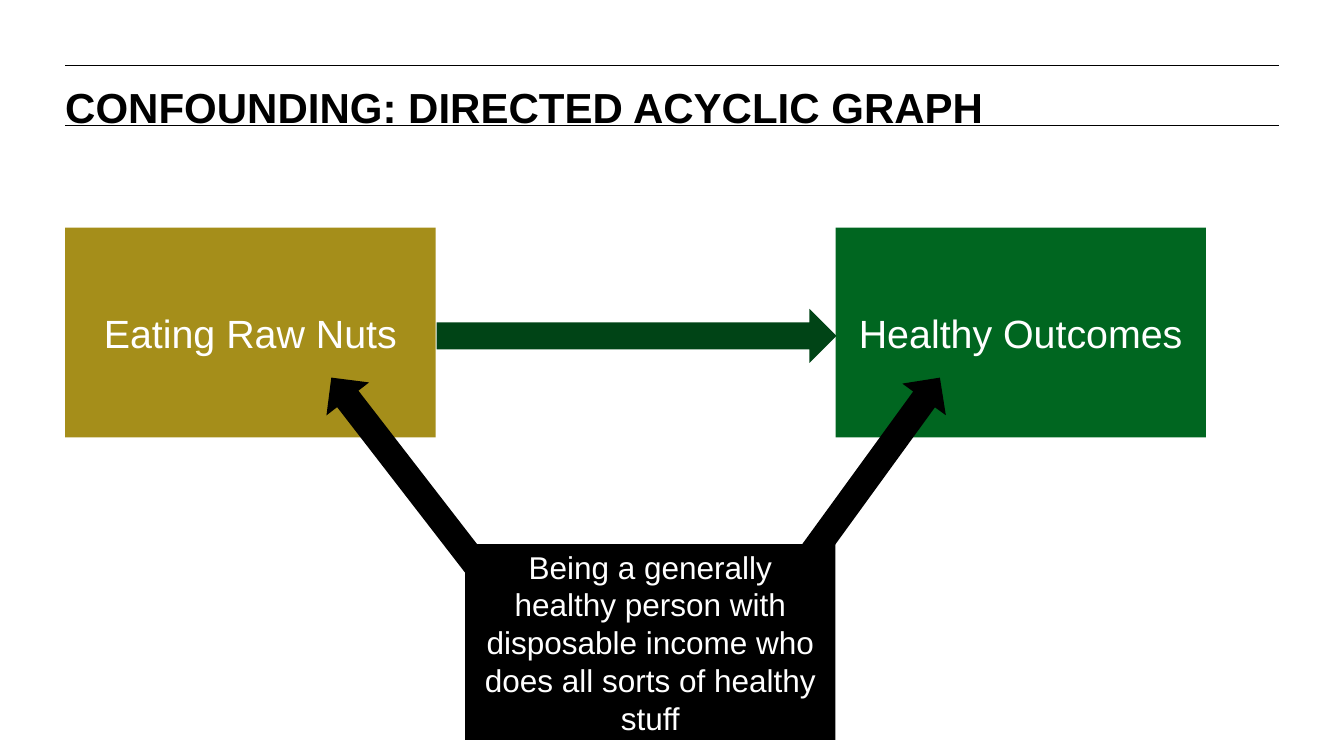
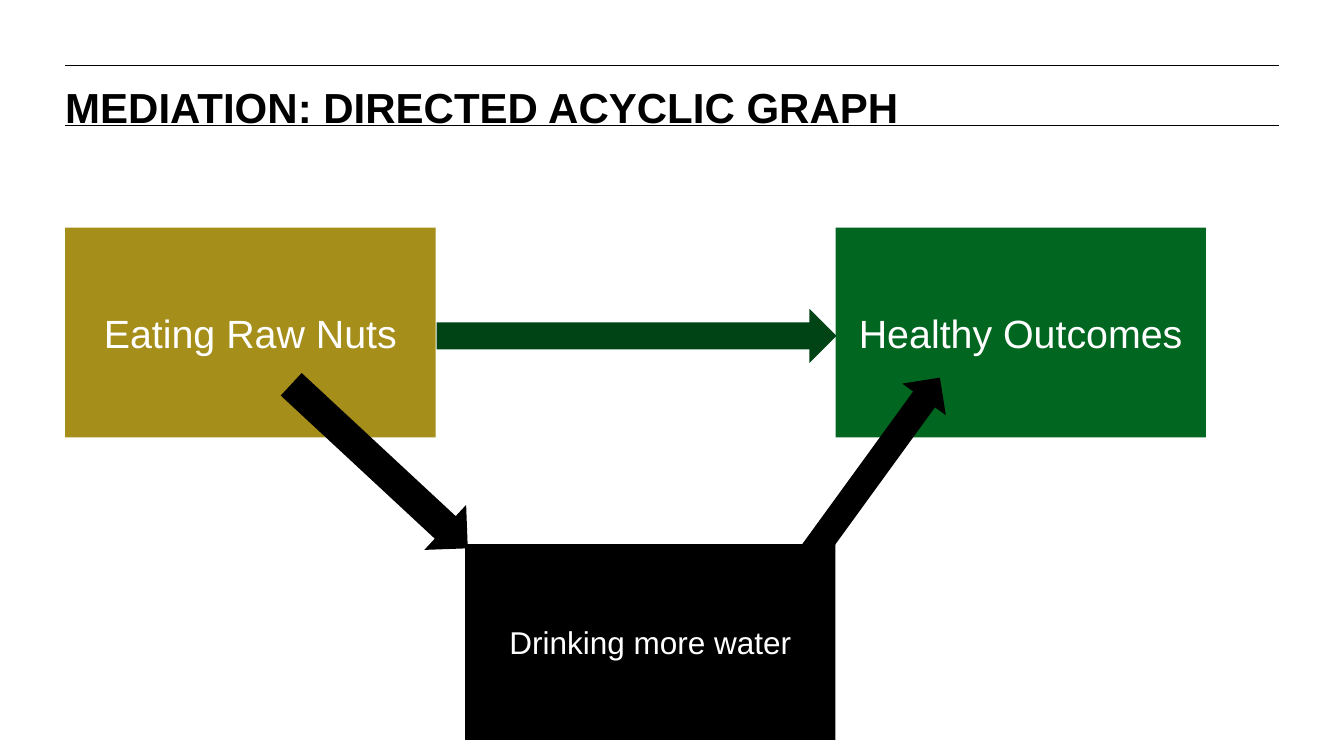
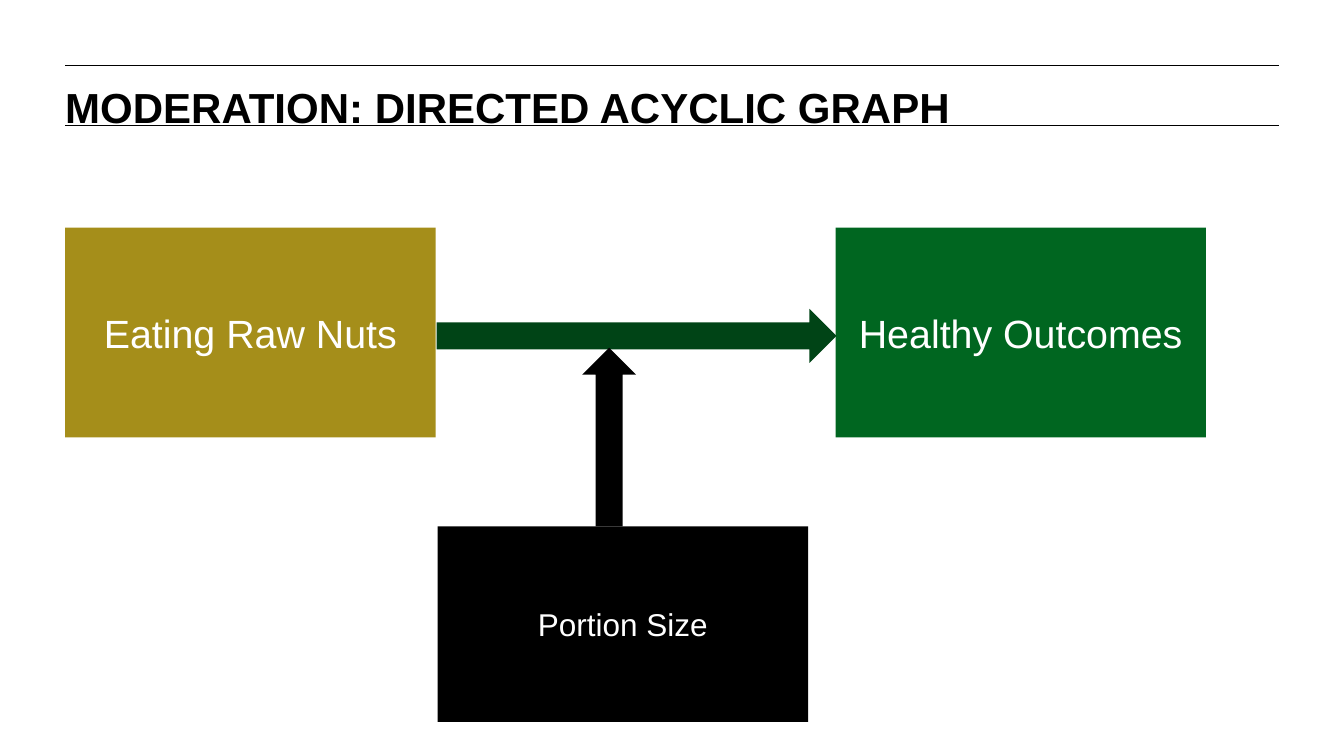
"""Build three slides of directed acyclic graphs: confounding, mediation and moderation."""
import pptx
import pptx.dml.color
import pptx.enum.shapes
import pptx.enum.text
import pptx.oxml
import pptx.util

Inches = pptx.util.Inches
RGBColor = pptx.dml.color.RGBColor
MSO_SHAPE = pptx.enum.shapes.MSO_SHAPE
PP_ALIGN = pptx.enum.text.PP_ALIGN
MSO_ANCHOR = pptx.enum.text.MSO_ANCHOR

BLACK = RGBColor(0x00, 0x00, 0x00)
WHITE = RGBColor(0xFF, 0xFF, 0xFF)
GOLD = RGBColor(0xA5, 0x8E, 0x1A)
GREEN = RGBColor(0x00, 0x66, 0x20)
DARK_GREEN = RGBColor(0x00, 0x44, 0x16)
FONT = "Arial"
LEFT, RIGHT = 0.69, 13.53
BOX_W = 3.92
EFFECT_LIST = '<a:effectLst xmlns:a="http://schemas.openxmlformats.org/drawingml/2006/main"/>'


def set_text(sp, text, size=24, color=WHITE, bold=False,
             align=PP_ALIGN.CENTER, anchor=MSO_ANCHOR.MIDDLE):
    tf = sp.text_frame
    tf.word_wrap = True
    tf.vertical_anchor = anchor
    p = tf.paragraphs[0]
    p.alignment = align
    r = p.add_run()
    r.text = text
    r.font.name = FONT
    r.font.size = pptx.util.Pt(size)
    r.font.bold = bold
    r.font.color.rgb = color


def add_filled(s, kind, at, color, rotation=0):
    sp = s.shapes.add_shape(kind, *map(Inches, at))
    sp.shadow.inherit = False
    sp.fill.solid()
    sp.fill.fore_color.rgb = color
    sp.line.fill.background()
    sp.rotation = rotation
    return sp


to_outcome = ((7.69, 4.86, 2.84, 0.57), 306)
graphs = [
    ("CONFOUNDING", "Being a generally healthy person with disposable income who does all sorts of healthy stuff",
     (4.92, 5.76), [((3.01, 4.72, 2.55, 0.57), 232.3), to_outcome]),
    ("MEDIATION", "Drinking more water",
     (4.92, 5.76), [((2.74, 4.61, 2.55, 0.65), 42.9), to_outcome]),
    ("MODERATION", "Portion Size",
     (4.63, 5.57), [((5.5, 4.34, 1.89, 0.57), 270)]),
]

prs = pptx.Presentation()
prs.slide_width = Inches(14.22)
prs.slide_height = Inches(7.99)

for topic, third, corner, arrows in graphs:
    s = prs.slides.add_slide(prs.slide_layouts[6])

    for y in (0.69, 1.33):
        rule = s.shapes.add_connector(pptx.enum.shapes.MSO_CONNECTOR.STRAIGHT,
                                      Inches(LEFT), Inches(y), Inches(RIGHT), Inches(y))
        rule.line.color.rgb = BLACK
        rule.line.width = pptx.util.Pt(0.75)
        rule._element.spPr.append(pptx.oxml.parse_xml(EFFECT_LIST))

    title = s.shapes.add_textbox(Inches(LEFT), Inches(0.81), Inches(RIGHT - LEFT), Inches(0.47))
    tf = title.text_frame
    tf.margin_left = tf.margin_right = tf.margin_bottom = 0
    tf.margin_top = Inches(0.05)
    set_text(title, f"{topic}: DIRECTED ACYCLIC GRAPH", size=32, color=BLACK, bold=True,
             align=PP_ALIGN.LEFT, anchor=MSO_ANCHOR.TOP)

    for x, label, color in ((LEFT, "Eating Raw Nuts", GOLD), (8.84, "Healthy Outcomes", GREEN)):
        sp = add_filled(s, MSO_SHAPE.RECTANGLE, (x, 2.41, BOX_W, 2.22), color)
        set_text(sp, label, size=30)

    sp = add_filled(s, MSO_SHAPE.RECTANGLE, (*corner, BOX_W, 2.07), BLACK)
    set_text(sp, third)

    add_filled(s, MSO_SHAPE.RIGHT_ARROW, (4.62, 3.27, 4.23, 0.57), DARK_GREEN)
    for at, rotation in arrows:
        add_filled(s, MSO_SHAPE.RIGHT_ARROW, at, BLACK, rotation)

prs.save("out.pptx")
